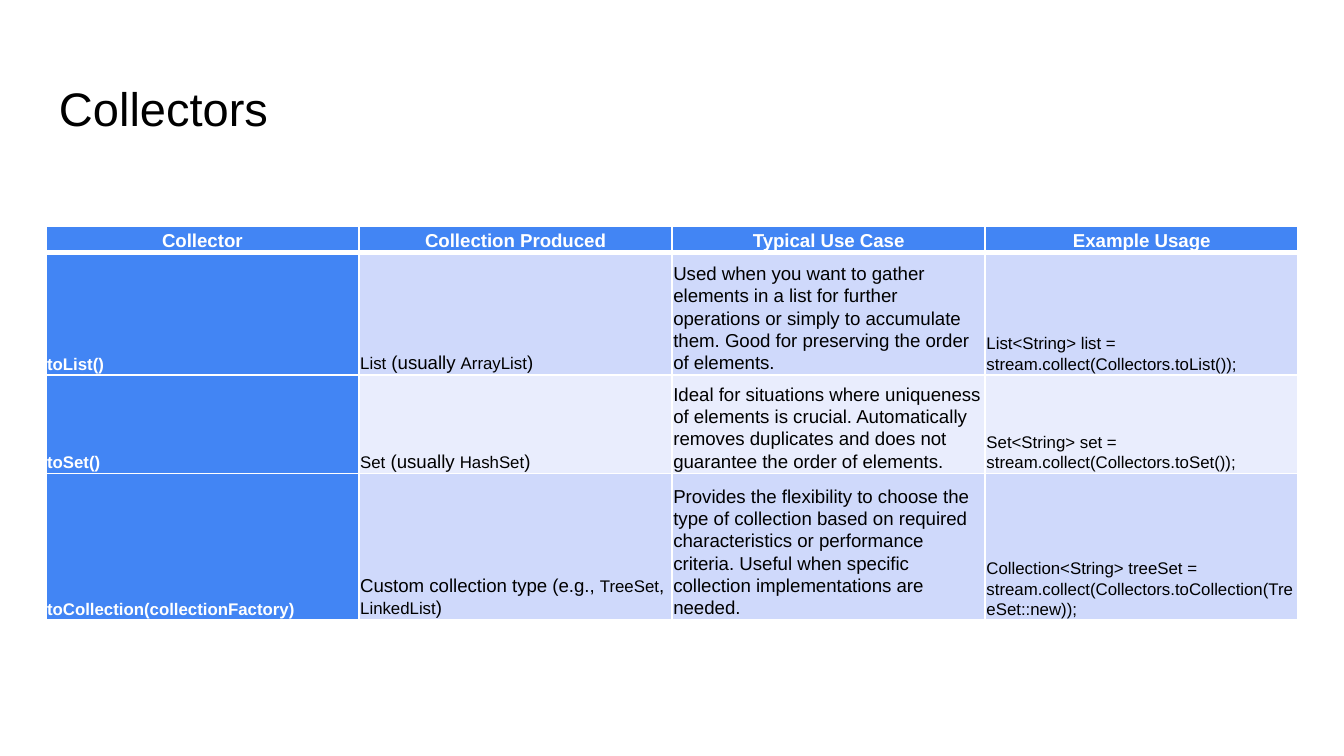
from dataclasses import dataclass

from lxml.etree import Element, SubElement
from pptx import Presentation
from pptx.dml.color import RGBColor
from pptx.enum.text import MSO_ANCHOR, PP_ALIGN
from pptx.oxml.ns import qn
from pptx.util import Emu, Pt

PX = 4572
FONT = "Arial"
COLORS = {
    "blue": "4285F4",
    "band": "CFD9FB",
    "pale": "E9EDFD",
    "white": "FFFFFF",
    "black": "000000",
}
LEFT, WIDTH = 68, 1864
TABLE_TOP = 336
CELL_INSET = 2
HEADER_HEIGHT = 37
HEADERS = ["Collector", "Collection Produced", "Typical Use Case", "Example Usage"]


@dataclass
class Collector:
    name: str
    produced: str
    use_case: str
    example: str
    height: int
    fill: str


COLLECTORS = [
    Collector(
        "`toList()`",
        "`List` (usually `ArrayList`)",
        "Used when you want to gather elements in a list for further operations "
        "or simply to accumulate them. Good for preserving the order of elements.",
        "`List<String> list = stream.collect(Collectors.toList());`",
        179, "band",
    ),
    Collector(
        "`toSet()`",
        "`Set` (usually `HashSet`)",
        "Ideal for situations where uniqueness of elements is crucial. Automatically "
        "removes duplicates and does not guarantee the order of elements.",
        "`Set<String> set = stream.collect(Collectors.toSet());`",
        143, "pale",
    ),
    Collector(
        "`toCollection(collectionFactory)`",
        "Custom collection type (e.g., `TreeSet`, `LinkedList`)",
        "Provides the flexibility to choose the type of collection based on required "
        "characteristics or performance criteria. Useful when specific collection "
        "implementations are needed.",
        "`Collection<String> treeSet = "
        "stream.collect(Collectors.toCollection(TreeSet::new));`",
        212, "band",
    ),
]


def px(n: int) -> Emu:
    return Emu(n * PX)


def write(tf, text: str, *, size: float = 10, code_size: float = 9,
          color: str = "black", bold: bool = False,
          align=PP_ALIGN.LEFT, spacing: float = 1.07) -> None:
    tf.word_wrap = True
    p = tf.paragraphs[0]
    p.alignment = align
    p.line_spacing = spacing
    for i, part in enumerate(text.split("`")):
        if part:
            r = p.add_run()
            r.text = part
            r.font.name = FONT
            r.font.size = Pt(code_size if i % 2 else size)
            r.font.bold = bold
            r.font.color.rgb = RGBColor.from_string(COLORS[color])


def set_borders(cell, bottom: int) -> None:
    tcPr = cell._tc.get_or_add_tcPr()
    widths = {"a:lnL": 1, "a:lnR": 1, "a:lnT": 1, "a:lnB": bottom}
    for i, (tag, width) in enumerate(widths.items()):
        ln = Element(qn(tag), w=str(Pt(width)))
        fill = SubElement(ln, qn("a:solidFill"))
        SubElement(fill, qn("a:srgbClr"), val=COLORS["white"])
        tcPr.insert(i, ln)


def style_cell(cell, fill: str, bottom: int = 1) -> None:
    cell.fill.solid()
    cell.fill.fore_color.rgb = RGBColor.from_string(COLORS[fill])
    cell.vertical_anchor = MSO_ANCHOR.BOTTOM
    cell.margin_left = cell.margin_right = px(CELL_INSET)
    cell.margin_top = cell.margin_bottom = px(CELL_INSET)
    set_borders(cell, bottom)


def draw_title(s, text: str) -> None:
    tf = s.shapes.add_textbox(px(LEFT), px(97), px(WIDTH), px(126)).text_frame
    tf.margin_left = tf.margin_right = tf.margin_top = tf.margin_bottom = px(20)
    tf.vertical_anchor = MSO_ANCHOR.MIDDLE
    write(tf, text, size=25.2, spacing=1.0)


def draw_table(s, collectors: list[Collector]) -> None:
    heights = [HEADER_HEIGHT] + [c.height for c in collectors]
    table = s.shapes.add_table(
        len(heights), len(HEADERS),
        px(LEFT), px(TABLE_TOP), px(WIDTH), px(sum(heights)),
    ).table
    table.first_row = table.horz_banding = False
    for column in table.columns:
        column.width = px(WIDTH // len(HEADERS))
    for row, height in zip(table.rows, heights):
        row.height = px(height)

    for col, header in enumerate(HEADERS):
        cell = table.cell(0, col)
        style_cell(cell, "blue", bottom=3)
        write(cell.text_frame, header, color="white", bold=True, align=PP_ALIGN.CENTER)

    for row, c in enumerate(collectors, start=1):
        for col, text in enumerate([c.name, c.produced, c.use_case, c.example]):
            cell = table.cell(row, col)
            is_name = col == 0
            style_cell(cell, "blue" if is_name else c.fill)
            write(cell.text_frame, text, color="white" if is_name else "black", bold=is_name)


def main() -> None:
    prs = Presentation()
    prs.slide_width, prs.slide_height = px(2000), px(1125)
    s = prs.slides.add_slide(prs.slide_layouts[6])
    draw_title(s, "Collectors")
    draw_table(s, COLLECTORS)
    prs.save("out.pptx")


if __name__ == "__main__":
    main()
